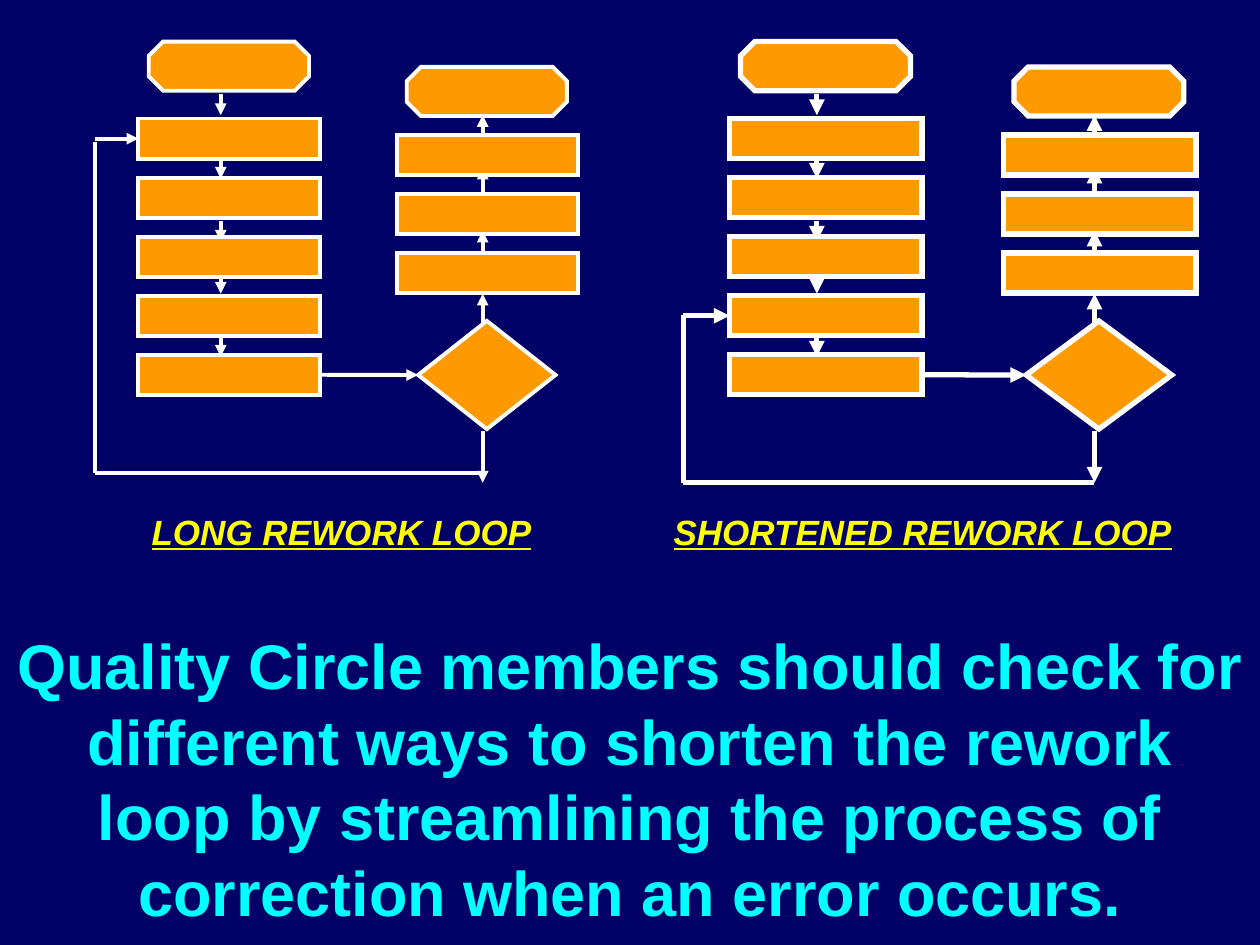
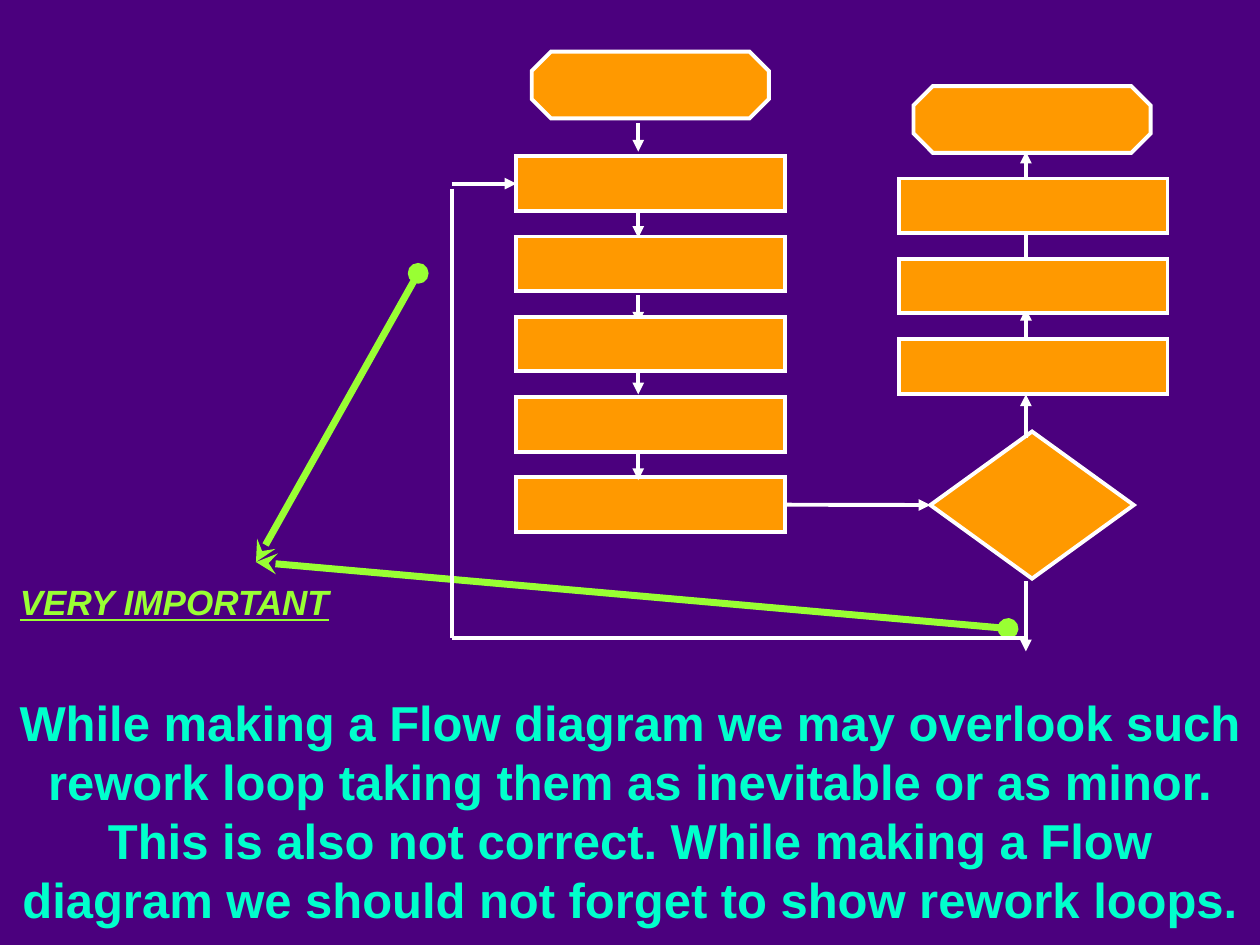
from dataclasses import dataclass
from typing import NamedTuple

from lxml import etree
from pptx import Presentation
from pptx.dml.color import RGBColor
from pptx.enum.shapes import MSO_CONNECTOR, MSO_SHAPE
from pptx.enum.text import MSO_ANCHOR, MSO_AUTO_SIZE, PP_ALIGN
from pptx.oxml.ns import qn
from pptx.util import Cm, Pt

STRAIGHT = MSO_CONNECTOR.STRAIGHT
OCTAGON, RECT, DIAMOND = MSO_SHAPE.OCTAGON, MSO_SHAPE.RECTANGLE, MSO_SHAPE.DIAMOND
LEFT, CENTER = PP_ALIGN.LEFT, PP_ALIGN.CENTER
TOP, NO_FIT = MSO_ANCHOR.TOP, MSO_AUTO_SIZE.NONE
SIDE_LEFT, SIDE_RIGHT = 1, 3
TITLE_ONLY = 5


@dataclass(frozen=True)
class Theme:
    font: str = "Arial"
    navy: RGBColor = RGBColor(0x00, 0x00, 0x66)
    purple: RGBColor = RGBColor(0x4B, 0x00, 0x7E)
    orange: RGBColor = RGBColor(0xFF, 0x99, 0x00)
    white: RGBColor = RGBColor(0xFF, 0xFF, 0xFF)
    cyan: RGBColor = RGBColor(0x00, 0xFF, 0xFF)
    aqua: RGBColor = RGBColor(0x00, 0xFF, 0xCC)
    yellow: RGBColor = RGBColor(0xFF, 0xFF, 0x00)
    lime: RGBColor = RGBColor(0x99, 0xFF, 0x33)
    large: float = 36
    medium: float = 28
    label: float = 20
    leading: float = 1.2
    callout_weight: float = 4


THEME = Theme()


class Box(NamedTuple):
    x: float
    y: float
    w: float
    h: float


class Message(NamedTuple):
    text: str
    box: Box
    size: float
    color: RGBColor


class Label(NamedTuple):
    text: str
    box: Box
    color: RGBColor
    align: PP_ALIGN


class Arrow(NamedTuple):
    x: float
    y: float
    dy: float


@dataclass(frozen=True)
class Flow:
    weight: float
    target: int
    loop_top: float
    loop_bottom: float
    left: float = 0
    top: float = 0
    scale_x: float = 1
    scale_y: float = 1

    def x(self, value: float) -> float:
        return self.left + value * self.scale_x

    def y(self, value: float) -> float:
        return self.top + value * self.scale_y

    def place(self, box: Box) -> Box:
        return Box(self.x(box.x), self.y(box.y), box.w * self.scale_x, box.h * self.scale_y)


STEP_W, STEP_H, STEP_PITCH = 3.66, 0.81, 1.19
STEPS = [Box(2.79, 2.39 + i * STEP_PITCH, STEP_W, STEP_H) for i in range(5)]
FINAL_STEPS = [Box(8, 2.72 + i * STEP_PITCH, STEP_W, STEP_H) for i in range(3)]
TERMINALS = [Box(3, 0.84, 3.23, 0.99), Box(8.2, 1.35, 3.23, 0.99)]
DECISION = Box(8.43, 6.47, 2.77, 2.18)

DOWN_X, UP_X, LOOP_X = 4.45, 9.73, 1.91
DOWN, UP = 0.42, -0.64
BACK_ARROWS = [Arrow(UP_X, y, UP) for y in (2.96, 4.02, 5.29)]
BACK_ARROWS += [Arrow(DOWN_X, y, DOWN) for y in (4.45, 5.5)]
FRONT_ARROWS = [Arrow(DOWN_X, y, DOWN) for y in (1.9, 3.18, 6.77)]
FRONT_ARROWS += [Arrow(UP_X, 6.56, UP), Arrow(UP_X, 8.69, 1.04)]

LONG_LOOP = Flow(2.25, 0, 2.87, 9.53)
SHORT_LOOP = Flow(3, 3, 6.35, 9.73, left=11.75, scale_x=1.06)
WIDE_LOOP = Flow(2.25, 0, 2.87, 9.53, left=6.28, top=-0.1, scale_x=1.48, scale_y=1.36)

SHORTEN = Message(
    "Quality Circle members should check for different ways to shorten the rework "
    "loop by streamlining the process of correction when an error occurs.",
    Box(0, 12.5, 25.4, 6.35), THEME.large, THEME.cyan)
OVERLOOK = Message(
    "While making a Flow diagram we may overlook such rework loop taking them as "
    "inevitable or as minor. This is also not correct. While making a Flow diagram "
    "we should not forget to show rework loops.",
    Box(0, 13.84, 25.4, 5), THEME.medium, THEME.aqua)
LOOP_LABELS = [
    Label("LONG REWORK LOOP", Box(2.12, 10.16, 9.53, 1.1), THEME.yellow, CENTER),
    Label("SHORTENED REWORK LOOP", Box(13.2, 10.16, 10.8, 1.1), THEME.yellow, CENTER),
]
IMPORTANT = Label("VERY IMPORTANT", Box(0.15, 11.58, 7.2, 1.1), THEME.lime, LEFT)
CALLOUT_TIP = (5.16, 11.33)
CALLOUT_ENDS = [(8.43, 5.51), (20.32, 12.67)]


def write(sp, text: str, size: float, color: RGBColor, align: PP_ALIGN):
    tf = sp.text_frame
    tf.word_wrap = True
    tf.auto_size = NO_FIT
    tf.vertical_anchor = TOP
    tf.margin_left = tf.margin_right = Cm(0.25)
    tf.margin_top = tf.margin_bottom = Cm(0.13)
    p = tf.paragraphs[0]
    p.alignment = align
    p.line_spacing = Pt(size * THEME.leading)
    r = p.add_run()
    r.text = text
    r.font.name = THEME.font
    r.font.size = Pt(size)
    r.font.bold = True
    r.font.color.rgb = color
    return r


def add_message_slide(prs, background: RGBColor, message: Message):
    slide = prs.slides.add_slide(prs.slide_layouts[TITLE_ONLY])
    slide.background.fill.solid()
    slide.background.fill.fore_color.rgb = background
    sp = slide.shapes.title
    sp.left, sp.top, sp.width, sp.height = (Cm(v) for v in message.box)
    write(sp, message.text, message.size, message.color, CENTER)
    return slide


def add_label(slide, label: Label) -> None:
    sp = slide.shapes.add_textbox(*(Cm(v) for v in label.box))
    r = write(sp, label.text, THEME.label, label.color, label.align)
    r.font.italic = True
    r.font.underline = True


def add_line(slide, start: tuple[float, float], end: tuple[float, float], weight: float,
             color: RGBColor = THEME.white, head: str = "", tail: str = ""):
    sp = slide.shapes.add_connector(STRAIGHT, *(Cm(v) for v in (*start, *end)))
    sp.line.color.rgb = color
    sp.line.width = Pt(weight)
    sp_pr = sp._element.spPr
    ln = sp_pr.find(qn("a:ln"))
    for tag, kind in (("a:headEnd", head), ("a:tailEnd", tail)):
        if kind:
            etree.SubElement(ln, qn(tag), type=kind)
    etree.SubElement(sp_pr, qn("a:effectLst"))
    return sp


def add_node(slide, flow: Flow, kind: MSO_SHAPE, box: Box):
    sp = slide.shapes.add_shape(kind, *(Cm(v) for v in flow.place(box)))
    sp.fill.solid()
    sp.fill.fore_color.rgb = THEME.orange
    sp.line.color.rgb = THEME.white
    sp.line.width = Pt(flow.weight)
    etree.SubElement(sp._element.spPr.find(qn("a:ln")), qn("a:miter"), lim="800000")
    sp.shadow.inherit = False
    if kind == OCTAGON:
        sp.adjustments[0] = 0.29
    return sp


def add_arrows(slide, flow: Flow, arrows: list[Arrow]) -> None:
    for arrow in arrows:
        x = flow.x(arrow.x)
        add_line(slide, (x, flow.y(arrow.y)), (x, flow.y(arrow.y + arrow.dy)),
                 flow.weight, tail="triangle")


def add_flow(slide, flow: Flow) -> None:
    add_arrows(slide, flow, BACK_ARROWS)
    for box in TERMINALS:
        add_node(slide, flow, OCTAGON, box)
    steps = [add_node(slide, flow, RECT, box) for box in STEPS]
    for box in FINAL_STEPS:
        add_node(slide, flow, RECT, box)
    decision = add_node(slide, flow, DIAMOND, DECISION)

    loop_x, bottom = flow.x(LOOP_X), flow.y(flow.loop_bottom)
    add_line(slide, (loop_x, flow.y(flow.loop_top)), (loop_x, bottom), flow.weight)
    add_line(slide, (loop_x, bottom), (flow.x(UP_X), bottom), flow.weight)
    add_arrows(slide, flow, FRONT_ARROWS)

    target = STEPS[flow.target]
    entry_y = flow.y(target.y + target.h / 2)
    entry = add_line(slide, (loop_x, entry_y), (flow.x(target.x), entry_y),
                     flow.weight, tail="triangle")
    entry.end_connect(steps[flow.target], SIDE_LEFT)

    check_y = flow.y(DECISION.y + DECISION.h / 2)
    check = add_line(slide, (flow.x(STEPS[-1].x + STEP_W), check_y),
                     (flow.x(DECISION.x), check_y), flow.weight, tail="triangle")
    check.begin_connect(steps[-1], SIDE_RIGHT)
    check.end_connect(decision, SIDE_LEFT)


def main() -> None:
    prs = Presentation()
    prs.slide_width, prs.slide_height = Cm(25.4), Cm(19.05)

    slide = add_message_slide(prs, THEME.navy, SHORTEN)
    for label in LOOP_LABELS:
        add_label(slide, label)
    for flow in (LONG_LOOP, SHORT_LOOP):
        add_flow(slide, flow)

    slide = add_message_slide(prs, THEME.purple, OVERLOOK)
    for end in CALLOUT_ENDS:
        add_line(slide, CALLOUT_TIP, end, THEME.callout_weight, THEME.lime,
                 head="stealth", tail="oval")
    add_label(slide, IMPORTANT)
    add_flow(slide, WIDE_LOOP)

    prs.save("out.pptx")


if __name__ == "__main__":
    main()
